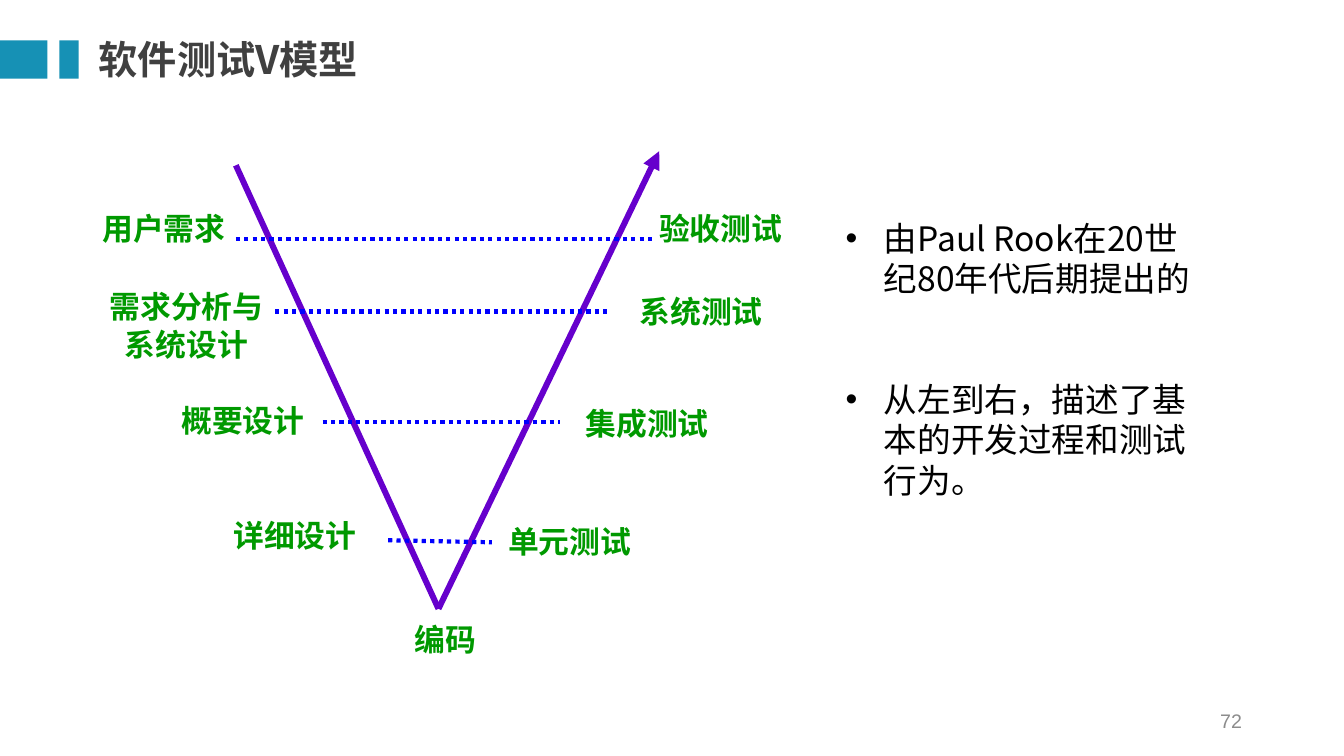
from typing import NamedTuple

import pptx
import pptx.dml.color
import pptx.enum.dml
import pptx.enum.shapes
import pptx.enum.text
import pptx.oxml.ns
import pptx.util
from lxml import etree

RGBColor = pptx.dml.color.RGBColor
Align = pptx.enum.text.PP_ALIGN
Anchor = pptx.enum.text.MSO_ANCHOR
AutoSize = pptx.enum.text.MSO_AUTO_SIZE
Dash = pptx.enum.dml.MSO_LINE

TEAL = RGBColor(0x16, 0x91, 0xB5)
DARK_GREY = RGBColor(0x40, 0x40, 0x40)
PAGE_GREY = RGBColor(0x8C, 0x8C, 0x8C)
BLACK = RGBColor(0, 0, 0)
PURPLE = RGBColor(0x66, 0, 0xCC)
BLUE = RGBColor(0, 0, 0xFF)
GREEN = RGBColor(0, 0x99, 0)
CJK_FONT = "Noto Sans CJK SC"

# Grid: 160 columns by 90 rows of square cells
CELL = pptx.util.Inches(1 / 12)
COLUMNS, ROWS = 160, 90


class Area(NamedTuple):
    col: float
    row: float
    cols: float
    rows: float


class Stroke(NamedTuple):
    start: tuple[float, float]
    end: tuple[float, float]


class Style(NamedTuple):
    size: float
    color: RGBColor
    font: str = CJK_FONT
    bold: bool = False


class Label(NamedTuple):
    text: str
    area: Area


class Level(NamedTuple):
    design: Label
    test: Label
    link: Stroke


TITLE_STYLE = Style(28, DARK_GREY, bold=True)
LABEL_STYLE = Style(22, GREEN, bold=True)
NOTE_STYLE = Style(24, BLACK)
PAGE_STYLE = Style(14, PAGE_GREY, "Arial")

BARS = [Area(0, 4.8, 5.64, 4.56), Area(7.08, 4.8, 2.28, 4.56)]
V_BOTTOM = (52.2, 72.48)
V_LEFT = Stroke((28.08, 19.68), V_BOTTOM)
V_RIGHT = Stroke(V_BOTTOM, (78.48, 18))
CODING = Label("编码", Area(46.2, 73.2, 13.68, 8.16))
LEVELS = [
    Level(Label("用户需求", Area(10.68, 24.24, 17.64, 6.96)),
          Label("验收测试", Area(75.24, 24.24, 21.12, 8.16)),
          Stroke((28.08, 28.44), (77.88, 28.44))),
    Level(Label("需求分析与系统设计", Area(11.04, 33.6, 22.32, 8.16)),
          Label("系统测试", Area(72.72, 34.2, 21.48, 8.16)),
          Stroke((32.76, 37.08), (72.72, 37.08))),
    Level(Label("概要设计", Area(17.76, 47.16, 22.32, 8.16)),
          Label("集成测试", Area(65.88, 47.52, 22.32, 8.16)),
          Stroke((38.4, 50.28), (66.72, 50.28))),
    Level(Label("详细设计", Area(24.72, 60.84, 20.76, 8.16)),
          Label("单元测试", Area(57.72, 61.56, 20.16, 8.16)),
          Stroke((46.2, 64.32), (58.56, 64.56))),
]
NOTES = ["由Paul Rook在20世纪80年代后期提出的",
         "从左到右，描述了基本的开发过程和测试行为。"]


def cells(*counts: float) -> list[int]:
    return [round(count * CELL) for count in counts]


def add_child(parent, tag: str, **attributes: str) -> None:
    etree.SubElement(parent, pptx.oxml.ns.qn(tag), **attributes)


def write(paragraph, text: str, style: Style) -> None:
    run = paragraph.add_run()
    run.text = text
    run.font.size = pptx.util.Pt(style.size)
    run.font.bold = style.bold
    run.font.color.rgb = style.color
    run.font.name = style.font
    add_child(run.font._element, "a:ea", typeface=style.font)


def add_text_frame(slide, area: Area):
    frame = slide.shapes.add_textbox(*cells(*area)).text_frame
    frame.word_wrap = True
    return frame


def add_label(slide, label: Label) -> None:
    paragraph = add_text_frame(slide, label.area).paragraphs[0]
    paragraph.alignment = Align.CENTER
    paragraph.line_spacing = pptx.util.Pt(27)
    write(paragraph, label.text, LABEL_STYLE)


def add_stroke(slide, stroke: Stroke, color: RGBColor, width: float,
               dash=None, arrow: bool = False) -> None:
    line = slide.shapes.add_connector(
        pptx.enum.shapes.MSO_CONNECTOR.STRAIGHT,
        *cells(*stroke.start, *stroke.end))
    line.line.color.rgb = color
    line.line.width = pptx.util.Pt(width)
    if dash is not None:
        line.line.dash_style = dash
    properties = line._element.spPr
    if arrow:
        add_child(properties.find(pptx.oxml.ns.qn("a:ln")), "a:tailEnd", type="triangle")
    add_child(properties, "a:effectLst")


def add_heading(slide) -> None:
    for area in BARS:
        bar = slide.shapes.add_shape(
            pptx.enum.shapes.MSO_SHAPE.RECTANGLE, *cells(*area))
        bar.shadow.inherit = False
        bar.fill.solid()
        bar.fill.fore_color.rgb = TEAL
        bar.line.fill.background()

    title = slide.shapes.title
    title.left, title.top, title.width, title.height = cells(11.76, 3.72, 52.08, 6.6)
    frame = title.text_frame
    frame.margin_left = frame.margin_right = frame.margin_top = frame.margin_bottom = 0
    frame.vertical_anchor = Anchor.MIDDLE
    frame.auto_size = AutoSize.NONE
    frame.paragraphs[0].alignment = Align.LEFT
    write(frame.paragraphs[0], "软件测试V模型", TITLE_STYLE)


def add_notes(slide) -> None:
    frame = add_text_frame(slide, Area(99.48, 25.32, 45.84, 35.16))
    frame.auto_size = AutoSize.SHAPE_TO_FIT_TEXT
    indent = pptx.util.Inches(0.38)
    for index, text in enumerate(NOTES):
        paragraph = frame.add_paragraph() if index else frame.paragraphs[0]
        properties = paragraph._p.get_or_add_pPr()
        properties.set("marL", str(indent))
        properties.set("indent", str(-indent))
        add_child(properties, "a:buFont", typeface="Arial")
        add_child(properties, "a:buChar", char="•")
        paragraph.line_spacing = pptx.util.Pt(28.8)
        if index:
            paragraph.space_before = pptx.util.Pt(57.6)
        write(paragraph, text, NOTE_STYLE)


def add_page_number(slide) -> None:
    frame = add_text_frame(slide, Area(113.04, 83.4, 36, 4.8))
    frame.vertical_anchor = Anchor.MIDDLE
    frame.paragraphs[0].alignment = Align.RIGHT
    write(frame.paragraphs[0], "72", PAGE_STYLE)


def main() -> None:
    deck = pptx.Presentation()
    deck.slide_width, deck.slide_height = cells(COLUMNS, ROWS)
    slide = deck.slides.add_slide(deck.slide_layouts.get_by_name("Title Only"))

    add_heading(slide)

    # V model: two arms, with each design stage linked to its test stage
    add_stroke(slide, V_RIGHT, PURPLE, 4.25, arrow=True)
    add_stroke(slide, V_LEFT, PURPLE, 4.25)
    for level in LEVELS:
        add_stroke(slide, level.link, BLUE, 3, dash=Dash.ROUND_DOT)
        add_label(slide, level.design)
        add_label(slide, level.test)
    add_label(slide, CODING)

    # Side notes and footer
    add_notes(slide)
    add_page_number(slide)
    deck.save("out.pptx")


if __name__ == "__main__":
    main()
